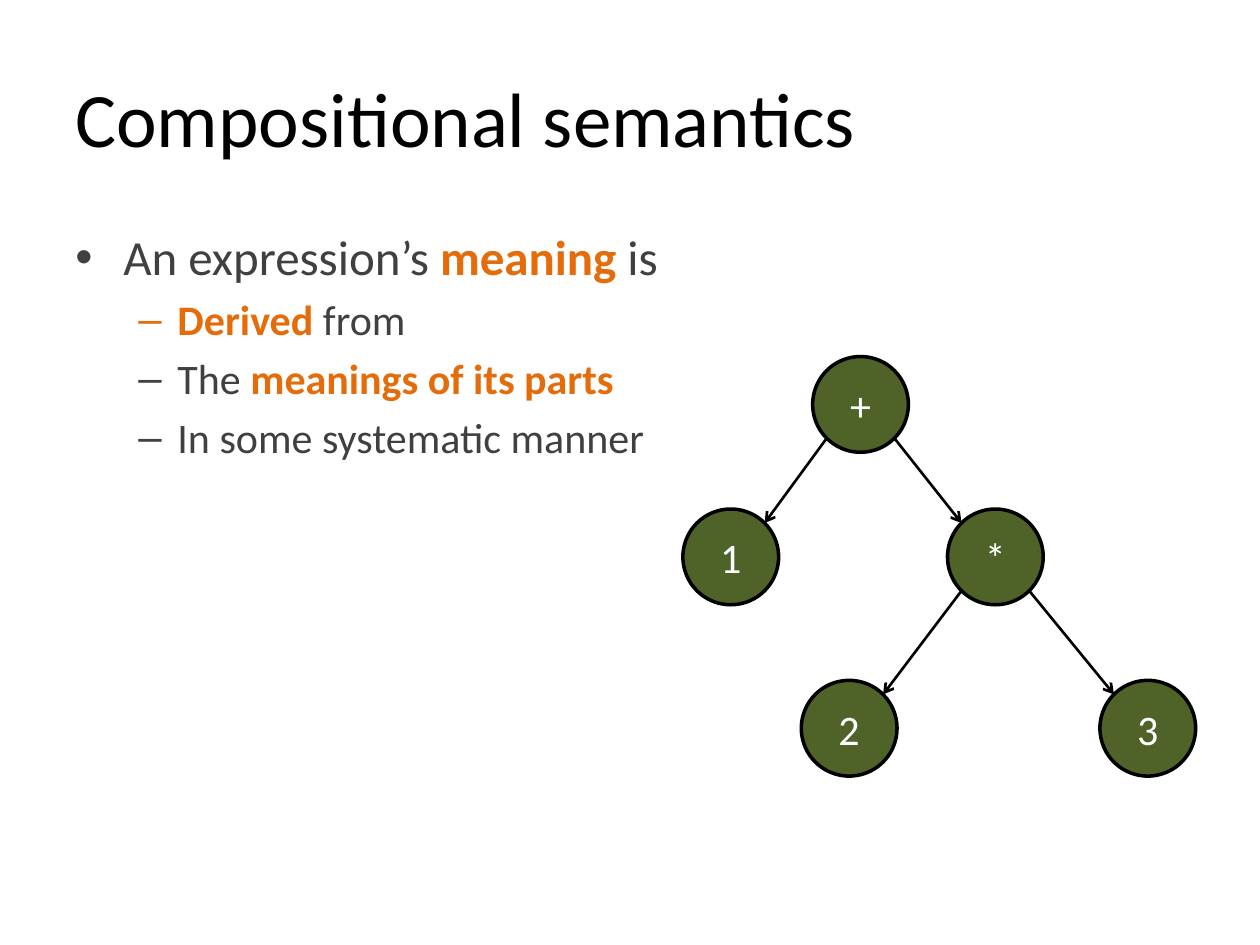
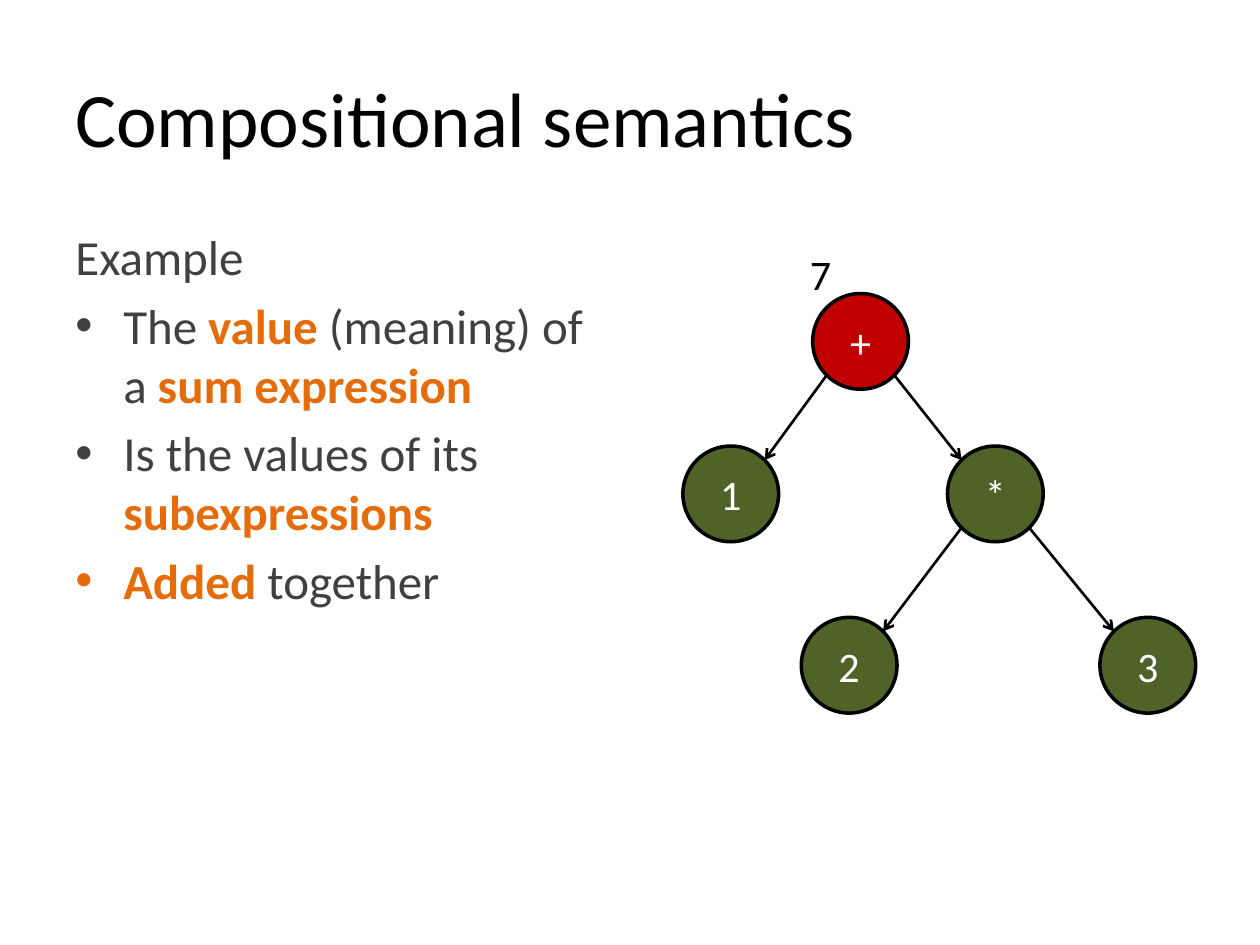
import math

import pptx
import pptx.dml.color
import pptx.enum.shapes
import pptx.enum.text
import pptx.oxml
import pptx.oxml.ns
import pptx.util
from pptx.util import Inches

COLORS = {
    "title": "000000",
    "body": "404040",
    "accent": "E46C0A",
    "node": "4F6228",
    "active": "C00000",
    "outline": "000000",
    "node_text": "FFFFFF",
}
FONT = "Calibri"
NODE_SIZE = 0.76

# Expression tree: label -> left and top, relative to the root's top
TREE_NODES = {"+": (6.45, 0), "1": (5.42, 1.21), "*": (7.52, 1.21),
              "2": (6.36, 2.57), "3": (8.73, 2.57)}
TREE_EDGES = [("+", "1"), ("+", "*"), ("*", "2"), ("*", "3")]

# Paragraph levels: size, left margin, hanging indent, bullet
LEVELS = {
    "plain": (28, 0, 0, None),
    "item": (28, 0.38, -0.38, "•"),
    "subitem": (24, 0.81, -0.31, "–"),
}

TITLE = "Compositional semantics"

# Text between asterisks is emphasised
DEFINITION = [
    ("item", "An expression’s *meaning *is"),
    ("subitem", "*Derived *from"),
    ("subitem", "The *meanings of its parts*"),
    ("subitem", "In some systematic manner"),
]
EXAMPLE = [
    ("plain", "Example"),
    ("item", "The *value *(meaning) of a *sum expression*"),
    ("item", "Is the values of its *subexpressions*"),
    ("item", "*Added *together"),
]


def rgb(name):
    return pptx.dml.color.RGBColor.from_string(COLORS[name])


def apply_format(target, values):
    for name, value in values.items():
        setattr(target, name, value)


def add_xml(parent, tag, **attributes):
    element = pptx.oxml.parse_xml(f"<a:{tag} {pptx.oxml.ns.nsdecls('a')}/>")
    for name, value in attributes.items():
        element.set(name, str(value))
    parent.append(element)


class Deck:
    """Holds the shared style and the slide being built."""

    def __init__(self):
        self.presentation = pptx.Presentation()
        self.presentation.slide_width = Inches(10)
        self.presentation.slide_height = Inches(7.5)
        self.slide = None

    def start_slide(self, title):
        self.slide = self.presentation.slides.add_slide(self.presentation.slide_layouts[6])
        frame = self.text_frame(0.5, 0.3, 9, 1.25)
        frame.vertical_anchor = pptx.enum.text.MSO_ANCHOR.MIDDLE
        self.run(frame.paragraphs[0], title, 44, "title")

    def text_frame(self, left, top, width, height, wrap=True):
        box = self.slide.shapes.add_textbox(*map(Inches, (left, top, width, height)))
        box.text_frame.word_wrap = wrap
        return box.text_frame

    def run(self, paragraph, text, size, color, bold=False):
        run = paragraph.add_run()
        run.text = text
        apply_format(run.font, {"name": FONT, "size": pptx.util.Pt(size), "bold": bold})
        run.font.color.rgb = rgb(color)

    def label(self, text, left, top, width, height):
        frame = self.text_frame(left, top, width, height, wrap=False)
        frame.auto_size = pptx.enum.text.MSO_AUTO_SIZE.SHAPE_TO_FIT_TEXT
        self.run(frame.paragraphs[0], text, 24, "title")

    def body(self, lines, width):
        frame = self.text_frame(0.5, 1.75, width, 4.95)
        for index, (level, text) in enumerate(lines):
            paragraph = frame.add_paragraph() if index else frame.paragraphs[0]
            size, margin, indent, bullet = LEVELS[level]
            paragraph.space_before = pptx.util.Pt(size * 0.2)
            if bullet:
                properties = paragraph._p.get_or_add_pPr()
                properties.set("marL", str(Inches(margin)))
                properties.set("indent", str(Inches(indent)))
                add_xml(properties, "buFont", typeface="Arial")
                add_xml(properties, "buChar", char=bullet)
            for part, piece in enumerate(text.split("*")):
                emphasised = part % 2 == 1
                if piece:
                    self.run(paragraph, piece, size, "accent" if emphasised else "body", emphasised)

    def node(self, shapes, text, left, top, fill):
        shape = shapes.add_shape(pptx.enum.shapes.MSO_SHAPE.OVAL,
                                 *map(Inches, (left, top, NODE_SIZE, NODE_SIZE)))
        shape.shadow.inherit = False
        shape.fill.solid()
        shape.fill.fore_color.rgb = rgb(fill)
        shape.line.color.rgb = rgb("outline")
        shape.line.width = pptx.util.Pt(2)
        shape.text_frame.vertical_anchor = pptx.enum.text.MSO_ANCHOR.MIDDLE
        paragraph = shape.text_frame.paragraphs[0]
        paragraph.alignment = pptx.enum.text.PP_ALIGN.CENTER
        self.run(paragraph, text, 24, "node_text")

    def arrow(self, shapes, start, end):
        connector = shapes.add_connector(pptx.enum.shapes.MSO_CONNECTOR.STRAIGHT,
                                         *map(Inches, (*start, *end)))
        connector.line.color.rgb = rgb("outline")
        connector.line.width = pptx.util.Pt(1.5)
        add_xml(connector.line._get_or_add_ln(), "tailEnd", type="arrow")
        add_xml(connector._element.spPr, "effectLst")

    def tree(self, top, active=None, grouped=False):
        shapes = self.slide.shapes
        if grouped:
            shapes = shapes.add_group_shape().shapes
        for text, (left, drop) in TREE_NODES.items():
            self.node(shapes, text, left, top + drop, "active" if text == active else "node")

        # Arrows join the circles at their 45° points
        radius = NODE_SIZE / 2
        reach = radius * math.sqrt(0.5)
        for parent, child in TREE_EDGES:
            (parent_x, parent_y), (child_x, child_y) = [
                (TREE_NODES[name][0] + radius, top + TREE_NODES[name][1] + radius)
                for name in (parent, child)]
            side = math.copysign(reach, child_x - parent_x)
            self.arrow(shapes, (parent_x + side, parent_y + reach),
                       (child_x - side, child_y - reach))


def main():
    deck = Deck()

    # Definition
    deck.start_slide(TITLE)
    deck.body(DEFINITION, 5.15)
    deck.tree(2.83, grouped=True)

    # Example: evaluating the sum
    deck.start_slide(TITLE)
    deck.body(EXAMPLE, 4.42)
    deck.tree(2.33, active="+")
    deck.label("7", 6.33, 1.92, 0.37, 0.5)

    deck.presentation.save("out.pptx")


if __name__ == "__main__":
    main()
